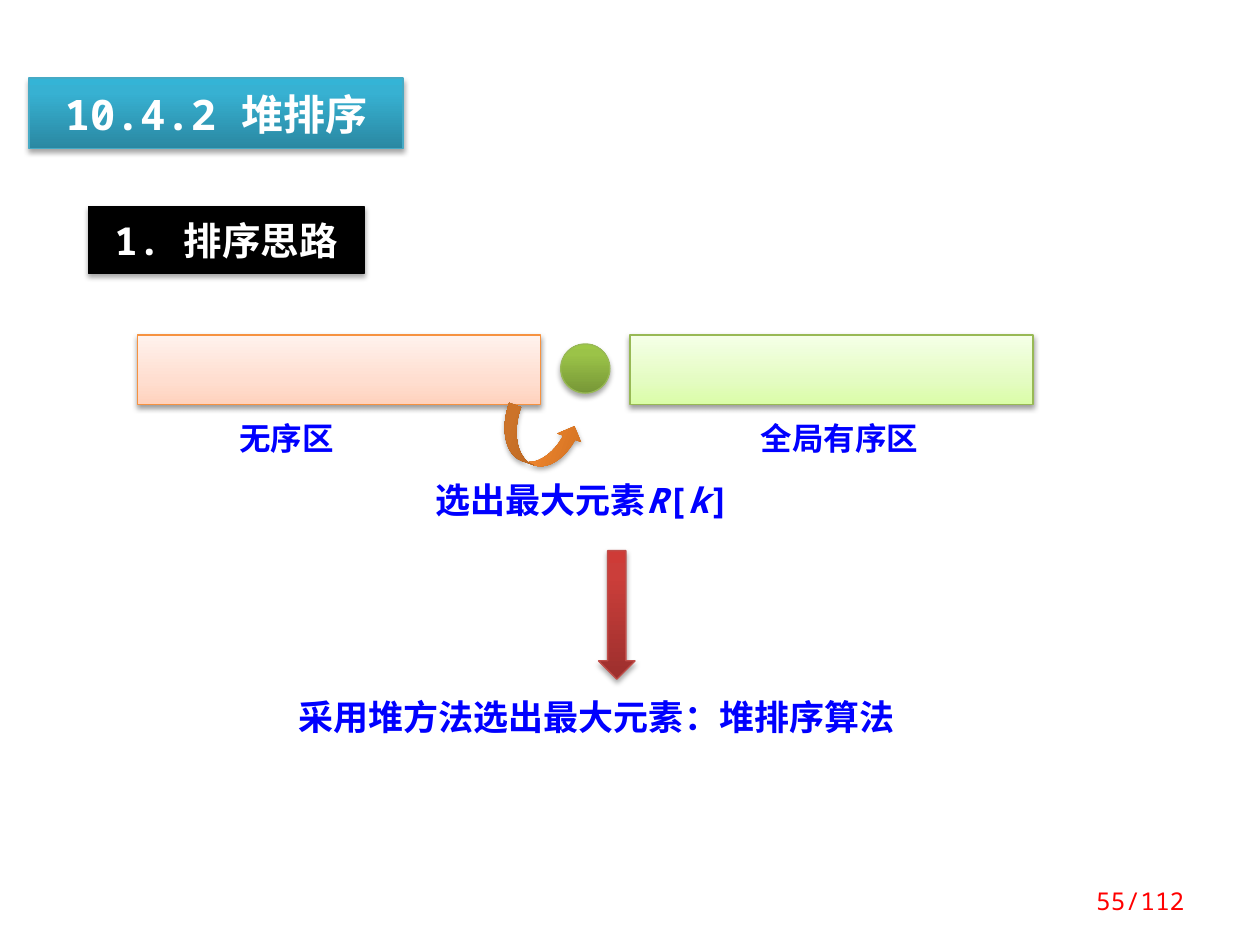
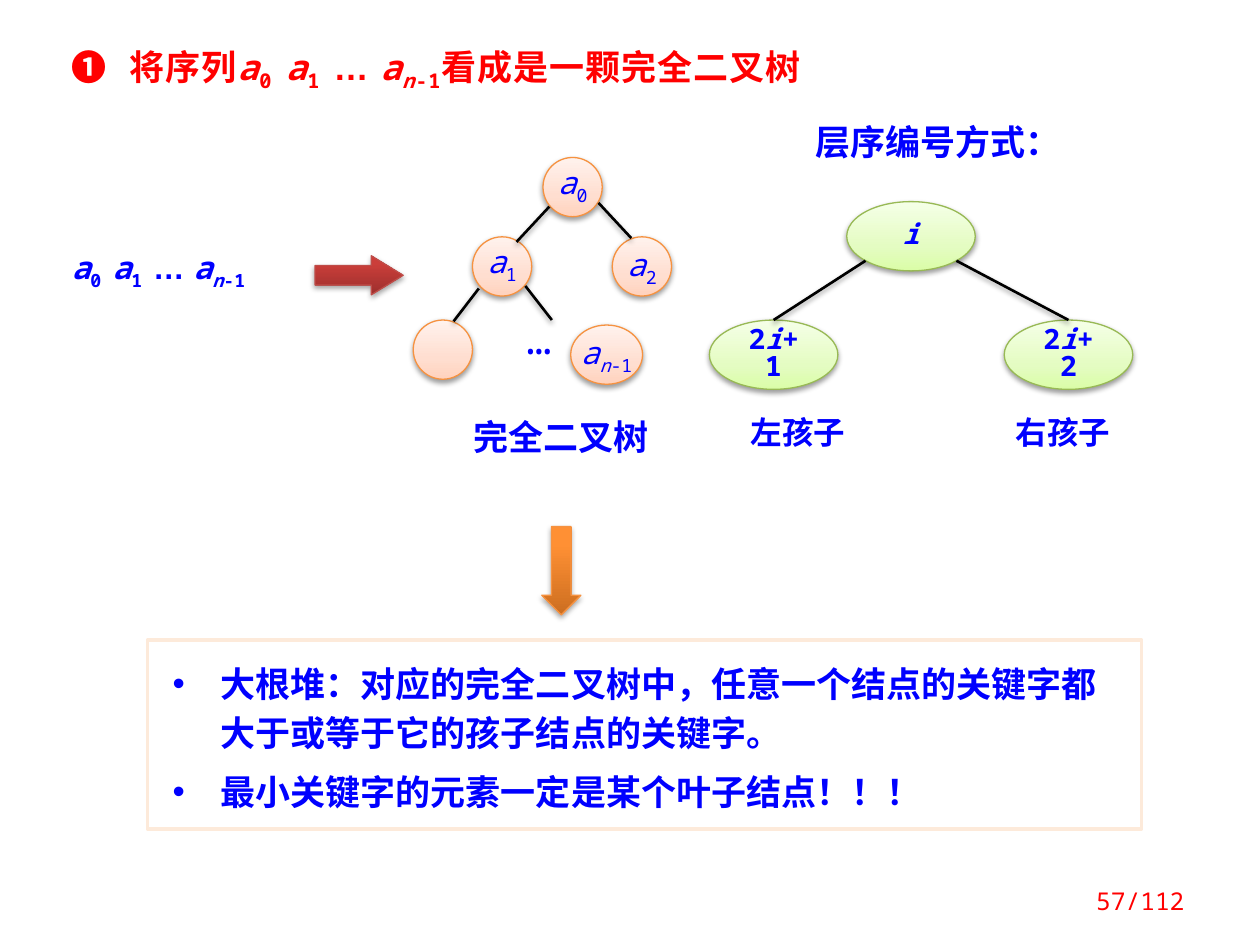
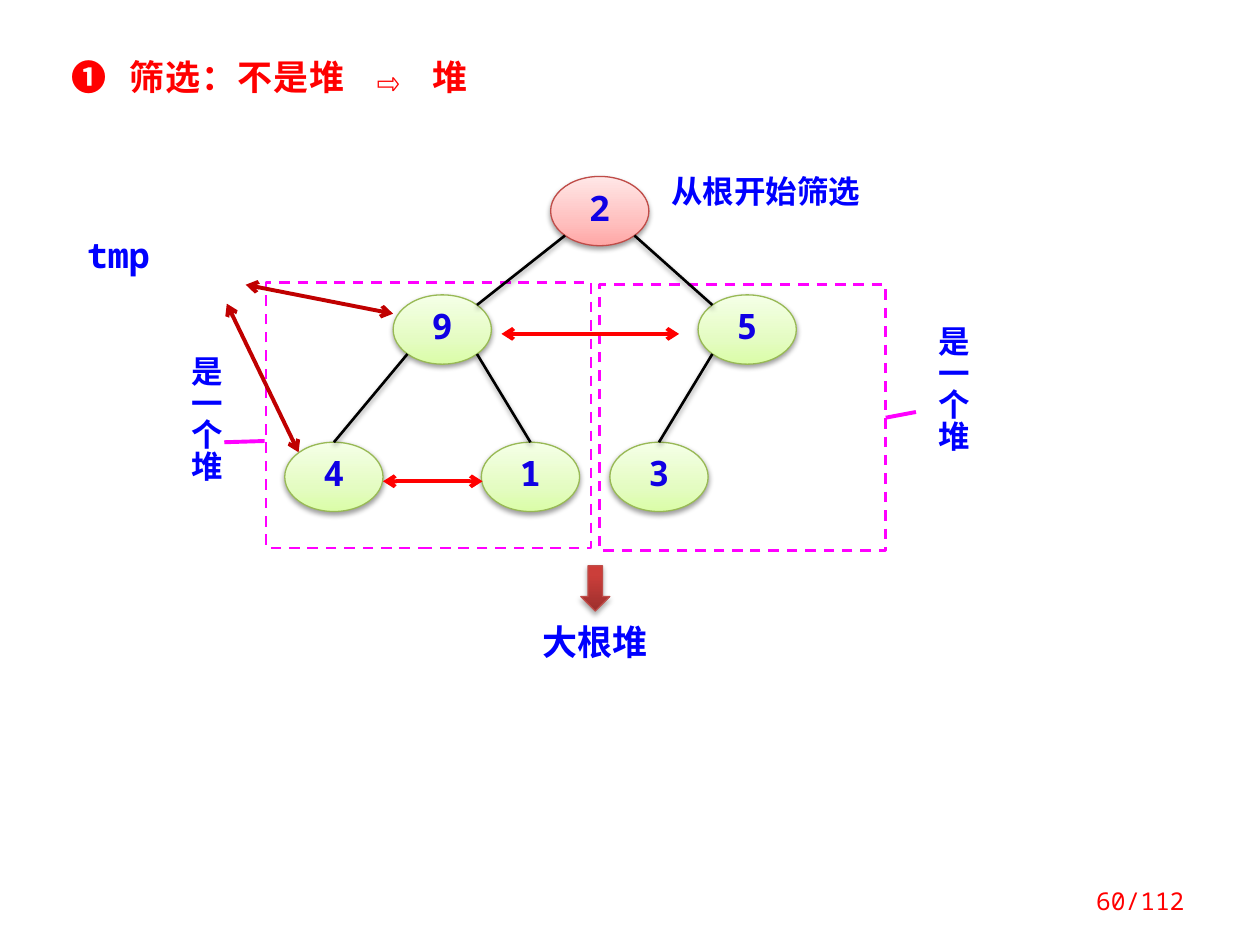
from lxml import etree
from pptx import Presentation
from pptx.dml.color import RGBColor
from pptx.enum.dml import MSO_LINE
from pptx.enum.shapes import MSO_CONNECTOR, MSO_SHAPE
from pptx.enum.text import MSO_ANCHOR, MSO_AUTO_SIZE, PP_ALIGN
from pptx.oxml.ns import qn
from pptx.util import Inches, Pt

RECT, OVAL = MSO_SHAPE.RECTANGLE, MSO_SHAPE.OVAL
DOWN, RIGHT_ARROW = MSO_SHAPE.DOWN_ARROW, MSO_SHAPE.RIGHT_ARROW
CURVED = MSO_SHAPE.CURVED_LEFT_ARROW
STRAIGHT = MSO_CONNECTOR.STRAIGHT
DASH = MSO_LINE.DASH
LEFT, CENTER, RIGHT = PP_ALIGN.LEFT, PP_ALIGN.CENTER, PP_ALIGN.RIGHT
TOP, MIDDLE = MSO_ANCHOR.TOP, MSO_ANCHOR.MIDDLE
GROW = MSO_AUTO_SIZE.SHAPE_TO_FIT_TEXT


class Theme:
    font, symbol_font = "Noto Sans Mono", "Arial"
    blue, node_blue, red, dark_red = "0000FF", "1000E4", "FF0000", "C00000"
    magenta, white, black, cream = "FF00FF", "FFFFFF", "000000", "FDEADA"
    title, subtitle, body, label, small, page = 24, 22, 20, 18, 16, 14
    # Look: gradient stops from bottom to top, outline colour
    teal = ([(0, "2A88A2"), (80, "37B1D2"), (100, "34B4D6")], "46AAC5")
    crimson = ([(0, "9C2F2D"), (80, "CB3E3A"), (100, "CE3B37")], "BF4C48")
    orange = ([(0, "CC6E20"), (80, "FF9034"), (100, "FF9136")], "F69240")
    green = ([(0, "779737"), (80, "9BC348"), (100, "9DC746")], "98B955")
    pale_green = ([(0, "DAFDA7"), (35, "E4FCC2"), (100, "F5FFE7")], "98B955")
    pale_orange = ([(0, "FFD2BD"), (35, "FFDED0"), (100, "FFF2ED")], "F69240")
    pale_red = ([(0, "FFA6A5"), (35, "FFC0BF"), (100, "FFE7E7")], "BF4C48")
    strong_shadow, soft_shadow = (35, 1.8), (38, 1.6)  # opacity %, distance pt
    shadow_blur = 3.1


T = Theme

# ---- Content: runs are (text, flags); i italic, s subscript, A symbol font ----
SEQUENCE = [("a", "i"), ("0 ", "s"), ("a", "i"), ("1 ", "s"), ("… ", "A"),
            ("a", "i"), ("n", "is"), ("-1", "s")]
PAGE_TOTAL = 112

IDEA_BARS = [(1.09, T.pale_orange), (5, T.pale_green)]
IDEA_LABELS = [
    ("无序区", (1.8, 3.28, 1.64, 0.4), T.label),
    ("全局有序区", (5.94, 3.28, 1.64, 0.4), T.label),
    ([("选出最大元素", ""), ("R", "i"), ("[", ""), ("k", "i"), ("]", "")],
     (3.36, 3.75, 2.58, 0.44), T.body),
    ("采用堆方法选出最大元素：堆排序算法", (2.27, 5.47, 5.31, 0.44), T.body),
]

NO_INSETS, RAISED = (0, 0, 0, 0), (0.1, 0, 0.1, 0.05)
SEQ_NODES = [  # left, top, width, runs, insets
    (4.31, 1.25, 0.47, [("a", "i"), ("0", "s")], RAISED),
    (3.75, 1.88, 0.47, [("a", "i"), ("1", "s")], RAISED),
    (4.86, 1.88, 0.47, [("a", "i"), ("2", "s")], NO_INSETS),
    (3.28, 2.54, 0.47, None, NO_INSETS),
    (4.53, 2.58, 0.57, [("a", "i"), ("n", "is"), ("-1", "s")], NO_INSETS),
]
SEQ_EDGES = [((4.36, 1.64), (4.1, 1.92)), ((4.75, 1.61), (5.01, 1.89)),
             ((3.8, 2.29), (3.6, 2.55)), ((4.17, 2.27), (4.38, 2.54))]
INDEX_NODES = [
    (6.72, 1.6, [("i", "i")]),
    (5.63, 2.54, [("2", ""), ("i", "i"), ("+1", "")]),
    (7.97, 2.54, [("2", ""), ("i", "i"), ("+2", "")]),
]
TREE_LABELS = [
    ("完全二叉树", (3.36, 3.31, 2.19, 0.37), T.body),
    ("左孩子", (5.63, 3.29, 1.41, 0.35), T.label),
    ("右孩子", (7.73, 3.29, 1.41, 0.35), T.label),
    ("层序编号方式：", (6.33, 0.97, 1.95, 0.37), T.body),
]
HEAP_FACTS = [
    "大根堆：对应的完全二叉树中，任意一个结点的关键字都大于或等于它的孩子结点的关键字。",
    "最小关键字的元素一定是某个叶子结点！！！",
]

HEAP_NODES = {"2": (4.37, 1.4), "9": (3.12, 2.34), "5": (5.54, 2.34),
              "4": (2.26, 3.51), "1": (3.82, 3.51), "3": (4.84, 3.51)}
HEAP_EDGES = [  # parent, child, side of parent, side of child (0 is its top)
    ("9", "4", -1, 0), ("9", "1", 1, 0), ("5", "3", -1, 0),
    ("2", "9", -1, 1), ("2", "5", 1, -1)]
COMPARISONS = [
    ((3.98, 2.65), (5.39, 2.65), T.red), ((3.04, 3.82), (3.83, 3.82), T.red),
    ((1.95, 2.26), (3.12, 2.49), T.dark_red),
    ((1.8, 2.41), (2.37, 3.59), T.dark_red)]


# ---- Drawing helpers ----
def rgb(color):
    return RGBColor.from_string(color)


def inches(*values):
    return [Inches(v) for v in values]


def child(parent, tag, **attrs):
    return etree.SubElement(parent, qn(tag), {k: str(v) for k, v in attrs.items()})


def set_effects(shape, shadow):
    """Write the effect list last in the shape properties; empty without shadow."""
    effects = child(shape._element.spPr, "a:effectLst")
    if shadow:
        opacity, distance = shadow
        outer = child(effects, "a:outerShdw", blurRad=Pt(T.shadow_blur),
                      dist=Pt(distance), dir=5400000, rotWithShape=0)
        color = child(outer, "a:srgbClr", val=T.black)
        child(color, "a:alpha", val=opacity * 1000)


def set_gradient(shape, stops):
    shape.fill.gradient()
    shape.fill.gradient_angle = 90
    gs_list = shape._element.spPr.find(".//" + qn("a:gsLst"))
    for stop in list(gs_list):
        gs_list.remove(stop)
    for position, color in stops:
        child(child(gs_list, "a:gs", pos=position * 1000), "a:srgbClr", val=color)


def add_shape(s, kind, box, fill=None, line=None, width=0.75, shadow=None):
    sp = s.shapes.add_shape(kind, *inches(*box))
    if isinstance(fill, list):
        set_gradient(sp, fill)
    elif fill:
        sp.fill.solid()
        sp.fill.fore_color.rgb = rgb(fill)
    else:
        sp.fill.background()
    if line:
        sp.line.color.rgb = rgb(line)
        sp.line.width = Pt(width)
    else:
        sp.line.fill.background()
    set_effects(sp, shadow)
    return sp


def add_strong(s, kind, box, look):
    return add_shape(s, kind, box, *look, shadow=T.strong_shadow)


def add_soft(s, kind, box, look):
    return add_shape(s, kind, box, *look, shadow=T.soft_shadow)


def add_line(s, start, end, color=T.black, width=1.5, shadow=None, arrows=False):
    cxn = s.shapes.add_connector(STRAIGHT, *inches(*start, *end))
    cxn.line.color.rgb = rgb(color)
    cxn.line.width = Pt(width)
    if arrows:
        ln = cxn._element.spPr.find(qn("a:ln"))
        for tag in ("a:headEnd", "a:tailEnd"):
            child(ln, tag, type="arrow")
    set_effects(cxn, shadow)
    return cxn


def add_edge(s, start, end):
    return add_line(s, start, end, shadow=T.soft_shadow)


def add_runs(p, runs, size, color, bold=True, tracking=None):
    if isinstance(runs, str):
        runs = [(runs, "")]
    for text, flags in runs:
        r = p.add_run()
        r.text = text
        font = r.font
        font.size, font.bold, font.italic = Pt(size), bold, "i" in flags
        font.color.rgb = rgb(color)
        font.name = T.symbol_font if "A" in flags else T.font
        rpr = r._r.get_or_add_rPr()
        child(rpr, "a:ea", typeface=T.font)
        if "s" in flags:
            rpr.set("baseline", "-25000")
        if tracking:
            rpr.set("spc", str(tracking))


def half_line_before(p):
    p.space_before = Pt(0)
    spacing = p._p.pPr.find(qn("a:spcBef"))
    spacing.remove(spacing[0])
    child(spacing, "a:spcPct", val=50000)


def setup_frame(sp, insets=(0.1, 0.05, 0.1, 0.05), anchor=TOP, grow=True, wrap=True):
    tf = sp.text_frame
    tf.word_wrap = wrap
    tf.vertical_anchor = anchor
    tf.margin_left, tf.margin_top, tf.margin_right, tf.margin_bottom = inches(*insets)
    if grow:
        tf.auto_size = GROW
    return tf


def write(sp, runs, size, color=T.blue, align=LEFT, tight=False, bold=True,
          tracking=None, **frame):
    p = setup_frame(sp, **frame).paragraphs[0]
    p.alignment = align
    if tight:
        p.line_spacing = 0.8
    half_line_before(p)
    add_runs(p, runs, size, color, bold, tracking)


def add_label(s, runs, box, size, **style):
    sp = s.shapes.add_textbox(*inches(*box))
    write(sp, runs, size, **style)
    return sp


def add_centered(s, runs, box, size):
    return add_label(s, runs, box, size, align=CENTER, tight=True)


def add_heading(s, runs, top, width):
    add_label(s, runs, (0.47, top, width, 0.44), T.body, color=T.red, tracking=50)


def add_node(s, box, look, runs, size, color=T.blue, **style):
    sp = add_soft(s, OVAL, box, look)
    if runs:
        write(sp, runs, size, color, CENTER, tight=True, anchor=MIDDLE,
              grow=False, **style)


def oval_point(box, side, down):
    """Diagonal point of an oval, or its top or bottom centre when side is 0."""
    left, top, width, height = box
    reach = 0.5 ** 0.5 if side else 1
    return (left + width / 2 * (1 + side * reach),
            top + height / 2 * (1 + down * reach))


def add_page(prs, number):
    s = prs.slides.add_slide(prs.slide_layouts[6])
    sp = s.shapes.add_textbox(*inches(8.28, 6.95, 1.22, 0.4))
    p = setup_frame(sp, anchor=MIDDLE, grow=False).paragraphs[0]
    p.alignment = RIGHT
    add_runs(p, f"{number}/{PAGE_TOTAL}", T.page, T.red, bold=False)
    return s


# ---- Slides ----
def build_idea(prs):
    s = add_page(prs, 55)
    banners = [("10.4.2 堆排序", (0.23, 0.62, 2.97, 0.56), T.teal, T.title),
               ("1. 排序思路", (0.7, 1.64, 2.19, 0.53), (T.black, T.black), T.subtitle)]
    for text, box, look, size in banners:
        write(add_strong(s, RECT, box, look), text, size, T.white, CENTER,
              insets=(0.1, 0.08, 0.1, 0.08))

    # Unsorted and sorted zones, with the largest element moving between them
    for left, look in IDEA_BARS:
        add_soft(s, RECT, (left, 2.66, 3.2, 0.55), look)
    add_strong(s, OVAL, (4.45, 2.73, 0.39, 0.39), T.green)
    move = add_strong(s, CURVED, (4.08, 3.17, 0.4, 0.65), (T.orange[0], None))
    move.rotation = 109.7
    move._element.spPr.find(qn("a:xfrm")).set("flipV", "1")
    add_strong(s, DOWN, (4.75, 4.37, 0.29, 1.02), T.crimson)
    for runs, box, size in IDEA_LABELS:
        add_label(s, runs, box, size)


def build_binary_tree(prs):
    s = add_page(prs, 57)
    add_heading(s, [("❶ 将序列", "")] + SEQUENCE + [("看成是一颗完全二叉树", "")],
                0.31, 6.33)

    # Sequence becoming a complete binary tree
    add_label(s, SEQUENCE, (0.47, 1.95, 1.8, 0.35), T.label, tight=True)
    arrow = add_strong(s, RIGHT_ARROW, (2.5, 2.03, 0.7, 0.31), T.crimson)
    arrow.adjustments[1] = 0.815
    for left, top, width, runs, insets in SEQ_NODES:
        add_node(s, (left, top, width, 0.47), T.pale_orange, runs, T.label,
                 bold=False, wrap=False, insets=insets)
    for start, end in SEQ_EDGES:
        add_edge(s, start, end)
    add_label(s, "…", (4.08, 2.51, 0.71, 0.43), T.title, tight=True, bold=False)

    # Level-order numbering of a parent and its children
    boxes = [(left, top, 1.02, 0.55) for left, top, _ in INDEX_NODES]
    for box, (_, _, runs) in zip(boxes, INDEX_NODES):
        add_node(s, box, T.pale_green, runs, T.small)
    for box, side in zip(boxes[1:], (-1, 1)):
        add_edge(s, oval_point(boxes[0], side, 1), oval_point(box, 0, -1))
    for text, box, size in TREE_LABELS:
        add_centered(s, text, box, size)

    # Heap definition
    add_strong(s, DOWN, (4.3, 4.18, 0.31, 0.7), T.orange)
    panel = add_shape(s, RECT, (1.17, 5.08, 7.89, 1.5), T.white, T.cream, 2)
    tf = setup_frame(panel, insets=(0.2, 0.12, 0.1, 0.12))
    for i, fact in enumerate(HEAP_FACTS):
        p = tf.add_paragraph() if i else tf.paragraphs[0]
        p.alignment = LEFT
        p.line_spacing, p.space_before = Pt(28), Pt(6)
        ppr = p._p.get_or_add_pPr()
        ppr.set("marL", str(Inches(0.38)))
        ppr.set("indent", str(Inches(-0.38)))
        child(ppr, "a:buFont", typeface=T.symbol_font)
        child(ppr, "a:buChar", char="•")
        add_runs(p, fact, T.body, T.blue)


def build_sifting(prs):
    s = add_page(prs, 60)
    add_heading(s, "❶ 筛选：不是堆 ⇨ 堆", 0.39, 3.75)

    # Two subtrees that are already heaps
    frames, notes = [], []
    for frame, note in [((2.11, 2.24, 2.58, 2.11), (1.34, 2.73, 0.44, 1.56)),
                        ((4.76, 2.26, 2.27, 2.11), (7.27, 2.49, 0.44, 1.56))]:
        sp = add_shape(s, RECT, frame, line=T.magenta, width=1.5)
        sp.line.dash_style = DASH
        frames.append(sp)
        label = add_centered(s, "是一个堆", note, T.label)
        label.text_frame._txBody.bodyPr.set("vert", "eaVert")
        notes.append(label)
    left_link = add_line(s, (1.79, 3.51), (2.1, 3.5), T.magenta, 2.25)
    left_link.begin_connect(notes[0], 3)
    right_link = add_line(s, (7.03, 3.31), (7.27, 3.27), T.magenta, 2.25)
    right_link.begin_connect(frames[1], 3)
    right_link.end_connect(notes[1], 1)

    # Tree to sift
    boxes = {key: (*corner, 0.78, 0.55) for key, corner in HEAP_NODES.items()}
    for key, box in boxes.items():
        look = T.pale_red if key == "2" else T.pale_green
        add_node(s, box, look, key, T.body, T.node_blue)
    for parent, kid, side, kid_side in HEAP_EDGES:
        add_edge(s, oval_point(boxes[parent], side, 1),
                 oval_point(boxes[kid], kid_side, -1))

    # Comparisons, notes and result
    for start, end, color in COMPARISONS:
        add_line(s, start, end, color, 2.25, arrows=True)
    add_label(s, "从根开始筛选", (5.23, 1.32, 2.03, 0.4), T.label)
    add_centered(s, "tmp", (0.47, 1.87, 0.94, 0.38), T.body)
    add_strong(s, DOWN, (4.61, 4.49, 0.23, 0.36), T.crimson)
    add_centered(s, "大根堆", (4.06, 4.94, 1.33, 0.37), T.body)


def main():
    prs = Presentation()
    prs.slide_width, prs.slide_height = inches(10, 7.5)
    for build in (build_idea, build_binary_tree, build_sifting):
        build(prs)
    prs.save("out.pptx")


if __name__ == "__main__":
    main()
